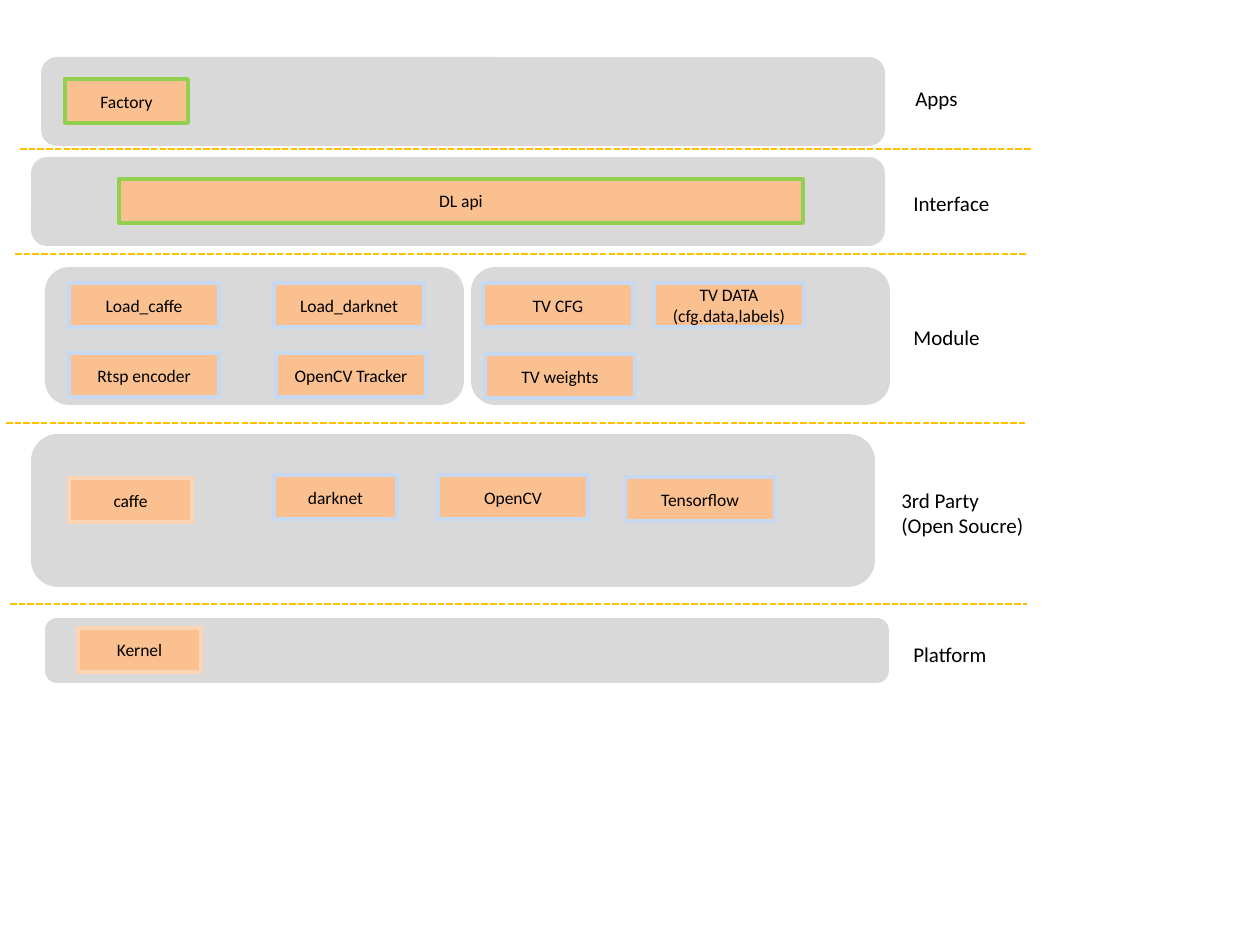
import pptx
import pptx.util
import pptx.dml.color
import pptx.enum.dml
import pptx.enum.shapes
import pptx.enum.text
import pptx.oxml.ns
import lxml.etree

PIXEL = 914400 // 126
GREY = pptx.dml.color.RGBColor(0xD9, 0xD9, 0xD9)
ORANGE = pptx.dml.color.RGBColor(0xFA, 0xC0, 0x90)
PEACH = pptx.dml.color.RGBColor(0xFC, 0xD5, 0xB5)
BLUE = pptx.dml.color.RGBColor(0xC6, 0xD9, 0xF1)
GREEN = pptx.dml.color.RGBColor(0x92, 0xD0, 0x50)
GOLD = pptx.dml.color.RGBColor(0xFF, 0xC0, 0x00)
BLACK = pptx.dml.color.RGBColor(0, 0, 0)
SHAPE = pptx.enum.shapes.MSO_SHAPE
ALIGN = pptx.enum.text.PP_ALIGN
ANCHOR = pptx.enum.text.MSO_ANCHOR


def write_text(shape, text, size=10, align=ALIGN.CENTER, anchor=ANCHOR.MIDDLE, wrap=False):
    frame = shape.text_frame
    frame.word_wrap = wrap
    frame.vertical_anchor = anchor
    frame.text = text
    for paragraph in frame.paragraphs:
        paragraph.alignment = align
        paragraph.font.size = pptx.util.Pt(size)
        paragraph.font.name = "Calibri"
        paragraph.font.color.rgb = BLACK


def add_block(kind, bounds, fill, border):
    shape = slide.shapes.add_shape(kind, *[value * PIXEL for value in bounds])
    shape.shadow.inherit = False
    shape.fill.solid()
    shape.fill.fore_color.rgb = fill
    shape.line.color.rgb = border
    shape.line.width = pptx.util.Pt(2.24)
    return shape


presentation = pptx.Presentation()
presentation.slide_width = pptx.util.Inches(10)
presentation.slide_height = pptx.util.Inches(7.5)
slide = presentation.slides.add_slide(presentation.slide_layouts[6])

# Layer panels: left, top, width, height
panels = [
    (43, 59, 840, 85),
    (33, 159, 850, 85),
    (47, 269, 415, 134),
    (473, 269, 415, 134),
    (33, 436, 840, 149),
    (47, 620, 840, 61),
]
for bounds in panels:
    add_block(SHAPE.ROUNDED_RECTANGLE, bounds, GREY, GREY)

# Components: text, left, top, width, border
BOX_HEIGHT = 44
NARROW, NORMAL, WIDE = 123, 150, 684
components = [
    ("Factory", 65, 79, NARROW, GREEN),
    ("DL api", 119, 179, WIDE, GREEN),
    ("Load_caffe", 69, 283, NORMAL, BLUE),
    ("Load_darknet", 274, 283, NORMAL, BLUE),
    ("TV CFG", 483, 283, NORMAL, BLUE),
    ("TV DATA\n(cfg.data,labels)", 654, 283, NORMAL, BLUE),
    ("Rtsp encoder", 69, 353, NORMAL, BLUE),
    ("OpenCV Tracker", 276, 353, NORMAL, BLUE),
    ("TV weights", 485, 354, NORMAL, BLUE),
    ("caffe", 69, 478, NARROW, PEACH),
    ("darknet", 274, 475, NARROW, BLUE),
    ("OpenCV", 438, 475, NORMAL, BLUE),
    ("Tensorflow", 625, 477, NORMAL, BLUE),
    ("Kernel", 78, 628, NARROW, PEACH),
]
for text, left, top, width, border in components:
    box = add_block(SHAPE.RECTANGLE, (left, top, width, BOX_HEIGHT), ORANGE, border)
    write_text(box, text)

# Dashed separators: left, right, top
for left, right, top in [(20, 1032, 149), (15, 1027, 254), (6, 1027, 423), (10, 1027, 604)]:
    separator = slide.shapes.add_connector(
        pptx.enum.shapes.MSO_CONNECTOR.STRAIGHT,
        left * PIXEL, top * PIXEL, right * PIXEL, top * PIXEL)
    separator.line.color.rgb = GOLD
    separator.line.width = pptx.util.Pt(1.25)
    separator.line.dash_style = pptx.enum.dml.MSO_LINE.SQUARE_DOT
    properties = separator.line._get_or_add_ln()
    properties.find(pptx.oxml.ns.qn("a:prstDash")).set("val", "sysDash")
    lxml.etree.SubElement(properties.getparent(), pptx.oxml.ns.qn("a:effectLst"))

# Layer names: text, left, top, width, height
labels = [
    ("Apps", 903, 79, 73, 38),
    ("Interface", 901, 184, 111, 38),
    ("Module", 901, 318, 102, 38),
    ("3rd Party\n(Open Soucre)", 889, 481, 165, 63),
    ("Platform", 901, 635, 115, 38),
]
for text, *bounds in labels:
    label = slide.shapes.add_textbox(*[value * PIXEL for value in bounds])
    write_text(label, text, size=12, align=ALIGN.LEFT, anchor=ANCHOR.TOP, wrap=True)

presentation.save("out.pptx")
